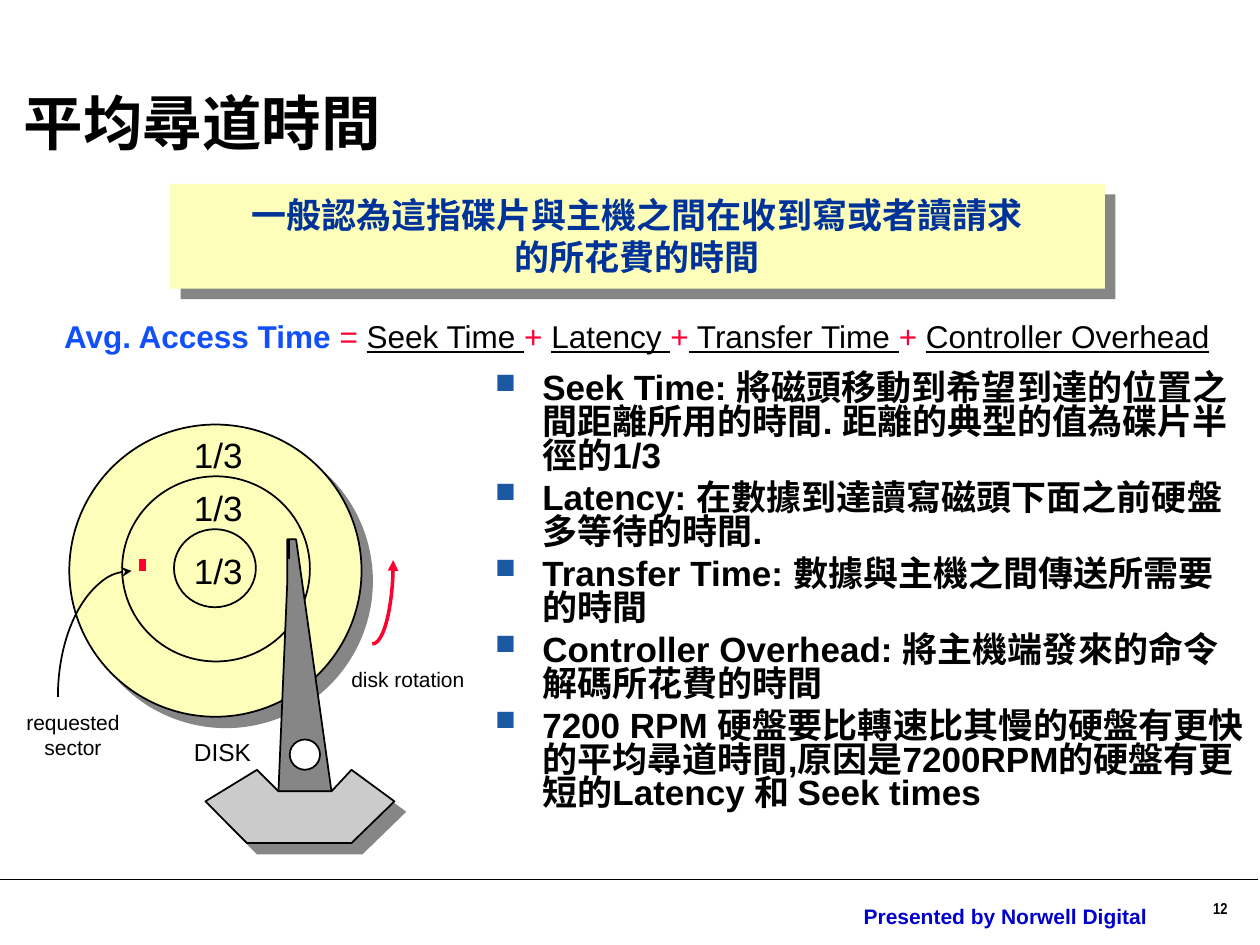
from lxml import etree
from pptx import Presentation
from pptx import util as u
from pptx.dml.color import RGBColor
from pptx.enum import shapes, text
from pptx.oxml import ns

BLACK = RGBColor(0x00, 0x00, 0x00)
WHITE = RGBColor(0xFF, 0xFF, 0xFF)
CREAM = RGBColor(0xFC, 0xFE, 0xB9)
GREY = RGBColor(0x86, 0x86, 0x86)
LIGHT_GREY = RGBColor(0xCB, 0xCB, 0xCB)
RED = RGBColor(0xFF, 0x00, 0x33)
BRIGHT_BLUE = RGBColor(0x11, 0x4F, 0xFB)
NAVY = RGBColor(0x00, 0x33, 0x99)
FOOTER_BLUE = RGBColor(0x00, 0x00, 0xCC)
BULLET_BLUE = RGBColor(0x1A, 0x59, 0xA1)

DISK_RINGS = [(39.6, 242.6, 167, 167), (69.8, 272.2, 107.3, 105.8),
              (99.4, 302.4, 46.8, 44.6)]
ARM = [(164.2, 331.9), (159.1, 452.2), (189.4, 452.2), (169.2, 308.2),
       (164.2, 308.2)]
ARM_BASE = [(146.9, 439.9), (159.1, 452.2), (189.4, 452.2), (200.9, 439.9),
            (225.4, 457.9), (200.9, 481.7), (141.1, 481.7), (117.4, 457.9)]

FORMULA_TERMS = ["Seek Time ", "Latency ", " Transfer Time ",
                 "Controller Overhead"]
DEFINITIONS = [
    "Seek Time: 將磁頭移動到希望到達的位置之間距離所用的時間. 距離的典型的值為碟片半徑的1/3",
    "Latency: 在數據到達讀寫磁頭下面之前硬盤多等待的時間.",
    "Transfer Time: 數據與主機之間傳送所需要的時間",
    "Controller Overhead: 將主機端發來的命令解碼所花費的時間",
    "7200 RPM 硬盤要比轉速比其慢的硬盤有更快的平均尋道時間,原因是7200RPM的硬盤有更短的Latency 和 Seek times",
]


def points(values):
    return [u.Pt(value) for value in values]


def add_xml(parent, tag, **attributes):
    return etree.SubElement(parent, ns.qn(tag), attributes)


def add_span(para, words, size=20, color=BLACK, bold=False, underline=False,
             font="Arial"):
    span = para.add_run()
    span.text = words
    span.font.name = font
    span.font.size = u.Pt(size)
    span.font.bold = bold
    span.font.underline = underline
    span.font.color.rgb = color


def add_text(page, bounds, words="", align=text.PP_ALIGN.LEFT, wrap=False,
             before=0, **style):
    """Add a text box with one paragraph for each line of words."""
    box = page.shapes.add_textbox(*points(bounds))
    frame = box.text_frame
    frame.word_wrap = wrap
    frame.auto_size = text.MSO_AUTO_SIZE.SHAPE_TO_FIT_TEXT
    for index, line in enumerate(words.split("\n")):
        para = frame.paragraphs[0] if index == 0 else frame.add_paragraph()
        para.alignment = align
        para.space_before = u.Pt(before)
        if line:
            add_span(para, line, **style)
    return frame


def format_shape(shape, fill, line=BLACK, shadow=False):
    shape.shadow.inherit = False
    shape.fill.solid()
    shape.fill.fore_color.rgb = fill
    if line is None:
        shape.line.fill.background()
    else:
        shape.line.color.rgb = line
        shape.line.width = u.Pt(1)
    if shadow:
        effects = shape._element.spPr.find(ns.qn("a:effectLst"))
        outer = add_xml(effects, "a:outerShdw", dist=str(u.Pt(8.5)),
                        dir="2700000", algn="ctr", rotWithShape="0")
        add_xml(outer, "a:srgbClr", val=str(GREY))


def add_preset(page, kind, bounds, fill, **style):
    format_shape(page.shapes.add_shape(kind, *points(bounds)), fill, **style)


def add_polygon(page, corners, fill, **style):
    first, *rest = [points(corner) for corner in corners]
    builder = page.shapes.build_freeform(*first, scale=1.0)
    builder.add_line_segments(rest, close=True)
    format_shape(builder.convert_to_shape(), fill, **style)


def add_line(page, start, end, color=BLACK, width=1):
    line = page.shapes.add_connector(shapes.MSO_CONNECTOR.STRAIGHT,
                                     *points(start + end))
    line.line.color.rgb = color
    line.line.width = u.Pt(width)
    add_xml(line._element.spPr, "a:effectLst")


def add_arc_arrow(page, bounds, start, end, arrow_tag, arrow, color, width):
    """Draw part of an ellipse, clockwise between two angles in degrees."""
    arc = page.shapes.add_shape(shapes.MSO_SHAPE.ARC, *points(bounds))
    arc.shadow.inherit = False
    arc.fill.background()
    # Angles are stored in 60000ths of a degree, adjustments in 100000ths.
    arc.adjustments[0], arc.adjustments[1] = start * 0.6, end * 0.6
    arc.line.color.rgb = color
    arc.line.width = u.Pt(width)
    add_xml(arc.line._get_or_add_ln(), arrow_tag, type=arrow)


def add_title(page, words):
    title = page.shapes.title
    title.left, title.top, title.width, title.height = points(
        (6.5, 49, 707, 47.5))
    frame = title.text_frame
    frame.auto_size = text.MSO_AUTO_SIZE.NONE
    frame.vertical_anchor = text.MSO_ANCHOR.MIDDLE
    para = frame.paragraphs[0]
    para.alignment = text.PP_ALIGN.LEFT
    para.line_spacing = 0.85
    add_span(para, words, size=34, bold=True)


def add_formula(page):
    frame = add_text(page, (29.5, 177.8, 678.2, 28.8), wrap=True)
    para = frame.paragraphs[0]
    add_span(para, "Avg. Access Time ", size=18, color=BRIGHT_BLUE, bold=True)
    for sign, term in zip(["= ", "+ ", "+", "+ "], FORMULA_TERMS):
        add_span(para, sign, size=18, color=RED)
        add_span(para, term, size=18, underline=True)


def add_definitions(page):
    frame = add_text(page, (275.8, 210.2, 444.2, 289.4),
                     "\n".join(DEFINITIONS), wrap=True, before=5, bold=True)
    frame.auto_size = text.MSO_AUTO_SIZE.NONE
    for para in frame.paragraphs:
        para.line_spacing = 0.8
        properties = para._p.get_or_add_pPr()
        properties.set("marL", str(u.Pt(27)))
        properties.set("indent", str(u.Pt(-27)))
        color = add_xml(properties, "a:buClr")
        add_xml(color, "a:srgbClr", val=str(BULLET_BLUE))
        add_xml(properties, "a:buSzPct", val="80000")
        add_xml(properties, "a:buChar", char="■")


def add_disk(page):
    oval = shapes.MSO_SHAPE.OVAL
    for index, ring in enumerate(DISK_RINGS):
        add_preset(page, oval, ring, CREAM, shadow=index == 0)
    for top in (244, 274.3, 310.3):
        add_text(page, (103.7, top, 42.5, 31), "1/3")
    add_polygon(page, ARM, GREY)
    add_preset(page, oval, (165.6, 422.6, 17.3, 17.3), WHITE)
    add_line(page, (164.9, 308.2), (164.9, 319.7), width=2)
    add_polygon(page, ARM_BASE, LIGHT_GREY, shadow=True)
    add_line(page, (81.4, 319.7), (81.4, 326.2), color=RED, width=4)
    add_arc_arrow(page, (33.1, 326.2, 84.2, 144), 180, 270,
                  "a:tailEnd", "stealth", BLACK, 1)
    add_arc_arrow(page, (200.9, 272.2, 23.8, 95.8), 0, 90,
                  "a:headEnd", "triangle", RED, 2)
    add_text(page, (7.9, 401.8, 67.7, 36), "requested\nsector",
             align=text.PP_ALIGN.CENTER, size=12)
    add_text(page, (193.7, 377.3, 79.2, 21.6), "disk rotation", size=12)
    add_text(page, (103.7, 417.6, 47.5, 23.8), "DISK", size=14)


def add_banner(page):
    add_preset(page, shapes.MSO_SHAPE.RECTANGLE, (97.2, 105.1, 534.2, 59.8),
               CREAM, line=None, shadow=True)
    add_text(page, (136.1, 107.3, 455.8, 55.4),
             "一般認為這指碟片與主機之間在收到寫或者讀請求\n的所花費的時間",
             align=text.PP_ALIGN.CENTER, color=NAVY, bold=True)


def add_footer(page):
    add_line(page, (0, 502.6), (718.6, 502.6))
    add_text(page, (443.5, 512.6, 262.1, 21.6), "Presented by Norwell Digital",
             align=text.PP_ALIGN.CENTER, wrap=True, before=7.5, size=12,
             color=FOOTER_BLUE, bold=True)
    add_text(page, (686.2, 509.8, 33.8, 20.2), "12", wrap=True, size=9,
             bold=True, font="Arial Narrow")


def main():
    deck = Presentation()
    deck.slide_width, deck.slide_height = u.Pt(720), u.Pt(540)
    page = deck.slides.add_slide(deck.slide_layouts[5])
    add_footer(page)
    add_formula(page)
    add_disk(page)
    add_banner(page)
    add_title(page, "平均尋道時間")
    add_definitions(page)
    deck.save("out.pptx")


if __name__ == "__main__":
    main()
